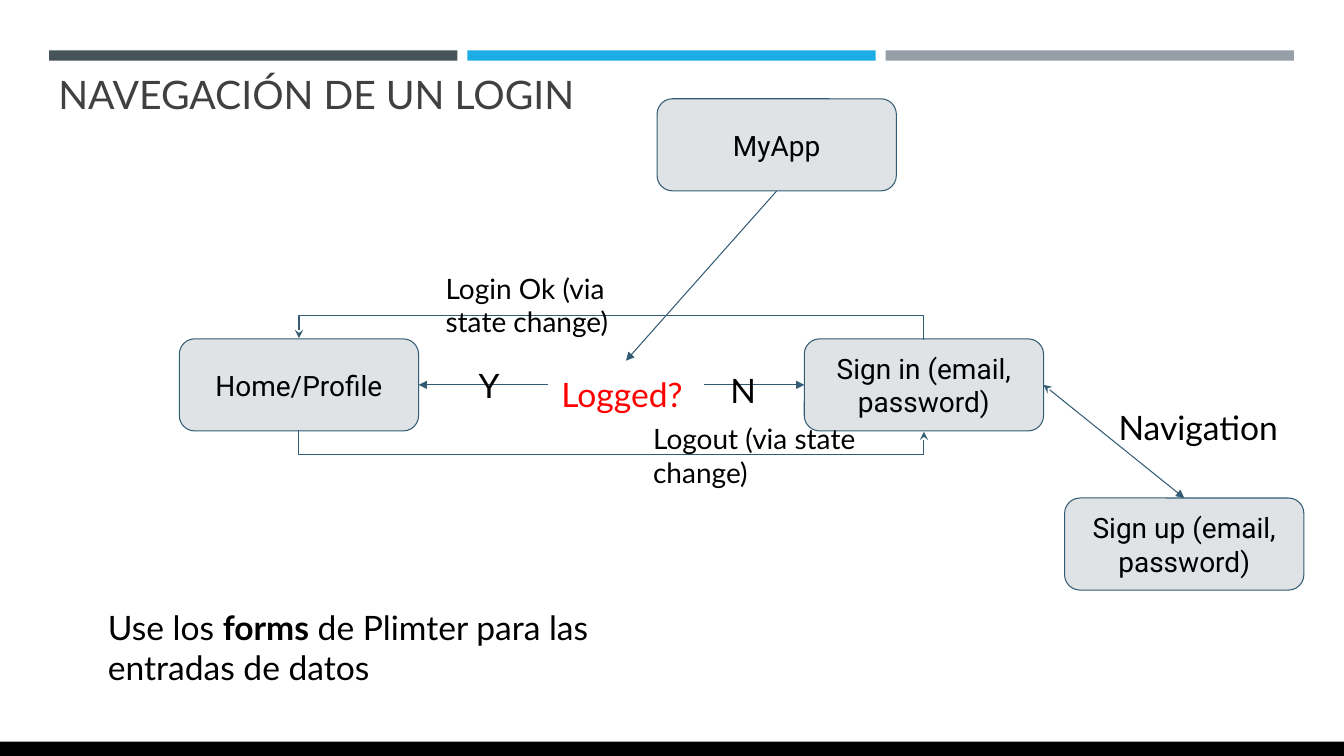
from dataclasses import dataclass

from lxml import etree
from pptx import Presentation
from pptx.dml.color import RGBColor
from pptx.enum.shapes import MSO_CONNECTOR, MSO_SHAPE
from pptx.enum.text import MSO_ANCHOR, PP_ALIGN
from pptx.oxml.ns import qn
from pptx.util import Cm, Pt

RECT, ROUND = MSO_SHAPE.RECTANGLE, MSO_SHAPE.ROUNDED_RECTANGLE
LINE, ELBOW = MSO_CONNECTOR.STRAIGHT, MSO_CONNECTOR.ELBOW
TOP, MID = MSO_ANCHOR.TOP, MSO_ANCHOR.MIDDLE
LEFT, CENTER = PP_ALIGN.LEFT, PP_ALIGN.CENTER


@dataclass(frozen=True)
class Theme:
    bars: tuple = ("465359", "1CADE4", "969FA7")
    foot: str = "000000"
    head: str = "404040"
    ink: str = "000000"
    alert: str = "FF0000"
    node: str = "DFE3E5"
    edge: str = "335B74"
    text: str = "Lato"
    label: str = "Roboto"
    big: int = 28
    body: int = 24
    small: int = 20
    thin: float = 0.75


THEME = Theme()


@dataclass(frozen=True)
class Box:
    """An area in centimetres."""
    x: float
    y: float
    w: float
    h: float

    def sub(self, x, y, w, h):
        return Box(self.x + x, self.y + y, w, h)

    def at(self, fx, fy):
        return self.x + fx * self.w, self.y + fy * self.h

    def cm(self):
        return [Cm(v) for v in (self.x, self.y, self.w, self.h)]


def apply(target, form):
    for name, value in form.items():
        setattr(target, name, value)


def rgb(code):
    return RGBColor.from_string(code)


# Text and shapes
def write(shape, runs, size, color=THEME.ink, font=THEME.text,
          anchor=TOP, align=LEFT):
    """Fill a shape with (words, bold) runs."""
    frame = shape.text_frame
    pad = Cm(0.33)
    apply(frame, {"word_wrap": True, "vertical_anchor": anchor,
                  "margin_left": pad, "margin_right": pad,
                  "margin_top": pad, "margin_bottom": pad})
    para = frame.paragraphs[0]
    para.alignment = align
    for words, bold in runs:
        run = para.add_run()
        run.text = words
        apply(run.font, {"name": font, "size": Pt(size), "bold": bold})
        run.font.color.rgb = rgb(color)


def note(slide, box, words, size=THEME.body, color=THEME.ink):
    runs = [(words, False)] if isinstance(words, str) else words
    write(slide.shapes.add_textbox(*box.cm()), runs, size, color)


def block(slide, box, fill, kind=RECT):
    shape = slide.shapes.add_shape(kind, *box.cm())
    shape.shadow.inherit = False
    shape.fill.solid()
    shape.fill.fore_color.rgb = rgb(fill)
    shape.line.fill.background()
    return shape


def node(slide, box, words):
    shape = block(slide, box, THEME.node, ROUND)
    shape.line.color.rgb = rgb(THEME.edge)
    shape.line.width = Pt(THEME.thin)
    write(shape, [(words, False)], THEME.small, font=THEME.label,
          anchor=MID, align=CENTER)


# Lines
def arrow(slide, start, end, kind=LINE, tail="triangle", head=None):
    link = slide.shapes.add_connector(kind, *[Cm(v) for v in (*start, *end)])
    link.line.color.rgb = rgb(THEME.edge)
    link.line.width = Pt(THEME.thin)
    props = link._element.spPr
    stroke = props.find(qn("a:ln"))
    for tag, form in (("a:headEnd", head), ("a:tailEnd", tail)):
        if form:
            etree.SubElement(stroke, qn(tag), type=form)
    etree.SubElement(props, qn("a:effectLst"))
    return props


def loop(slide, left, right, y, under):
    """Join two nodes by a turned elbow, below or above height y."""
    thin, reach = 0.04, 0.62
    mid, half = (left + right) / 2, (right - left) / 2
    near, far = mid - thin / 2, mid + thin / 2
    if under:
        ends = (far, y - half), (near, y + half)
    else:
        ends = (near, y + half), (far, y - half)
    props = arrow(slide, *ends, kind=ELBOW, tail="stealth")
    props.find(qn("a:xfrm")).set("rot", str(270 * 60000))
    shape = props.find(qn("a:prstGeom"))
    guides = shape.find(qn("a:avLst"))
    if guides is None:
        guides = etree.SubElement(shape, qn("a:avLst"))
    ratio = round(reach / thin * 100000)
    etree.SubElement(guides, qn("a:gd"), name="adj1", fmla=f"val {ratio}")


# Regions
def frame(slide, page):
    """Three bars on top and a strip at the foot."""
    width, step = 10.29, 10.54
    for i, color in enumerate(THEME.bars):
        block(slide, page.sub(1.24 + i * step, 1.27, width, 0.26), color)
    block(slide, page.sub(0, 18.69, page.w, 0.36), THEME.foot)


def flow(slide, area):
    """Login chart: nodes, arrows and labels."""
    size = 6.03, 2.32
    app = area.sub(12.04, 0, *size)
    home = area.sub(0, 6.05, *size)
    enter = area.sub(15.75, 6.05, *size)
    join = area.sub(22.31, 10.06, *size)
    test = area.sub(9.3, 6.6, 3.91, 1.19)
    for box, words in ((app, "MyApp"), (home, "Home/Profile"),
                       (enter, "Sign in (email, password)"),
                       (join, "Sign up (email, password)")):
        node(slide, box, words)

    row = home.at(0, 0.5)[1]
    arrow(slide, (test.x, row), home.at(1, 0.5))
    arrow(slide, (test.x + test.w, row), enter.at(0, 0.5))
    arrow(slide, app.at(0.5, 1), test.at(0.5, 0))
    arrow(slide, enter.at(1, 0.5), join.at(0.5, 0), head="stealth")
    for side in (0, 1):
        left, y = home.at(0.5, side)
        loop(slide, left, enter.at(0.5, side)[0], y, side == 1)

    note(slide, test, "Logged?", color=THEME.alert)
    for words, box, points in (
            ("Y", (7.21, 6.4, 1.35, 0.64), THEME.body),
            ("N", (13.56, 6.53, 1.35, 0.64), THEME.body),
            ("Navigation", (23.34, 7.44, 5.08, 1.35), THEME.body),
            ("Logout (via state change)", (11.61, 7.8, 5.77, 1.93),
             THEME.small),
            ("Login Ok (via state change)", (6.38, 4.01, 5.77, 1.93),
             THEME.small)):
        note(slide, area.sub(*box), words, points)


def main():
    deck = Presentation()
    page = Box(0, 0, 33.87, 19.05)
    apply(deck, {"slide_width": Cm(page.w), "slide_height": Cm(page.h)})
    slide = deck.slides.add_slide(deck.slide_layouts[6])
    frame(slide, page)
    note(slide, page.sub(1.14, 1.45, 31.55, 2.31), "NAVEGACIÓN DE UN LOGIN",
         THEME.big, THEME.head)
    flow(slide, page.sub(4.52, 2.49, 28.4, 12.38))
    note(slide, page.sub(2.39, 14.96, 15.04, 2.31),
         [("Use los ", False), ("forms", True),
          (" de Plimter para las entradas de datos", False)])
    deck.save("out.pptx")


if __name__ == "__main__":
    main()
